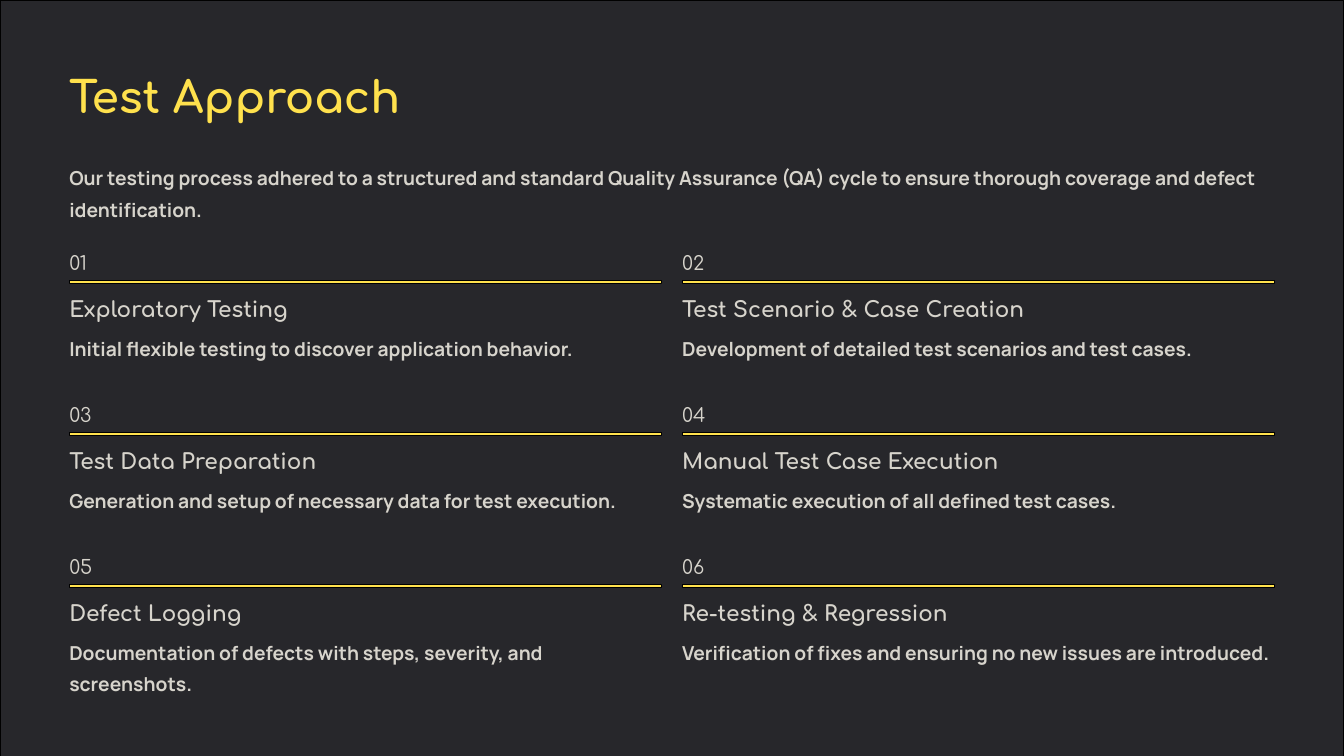
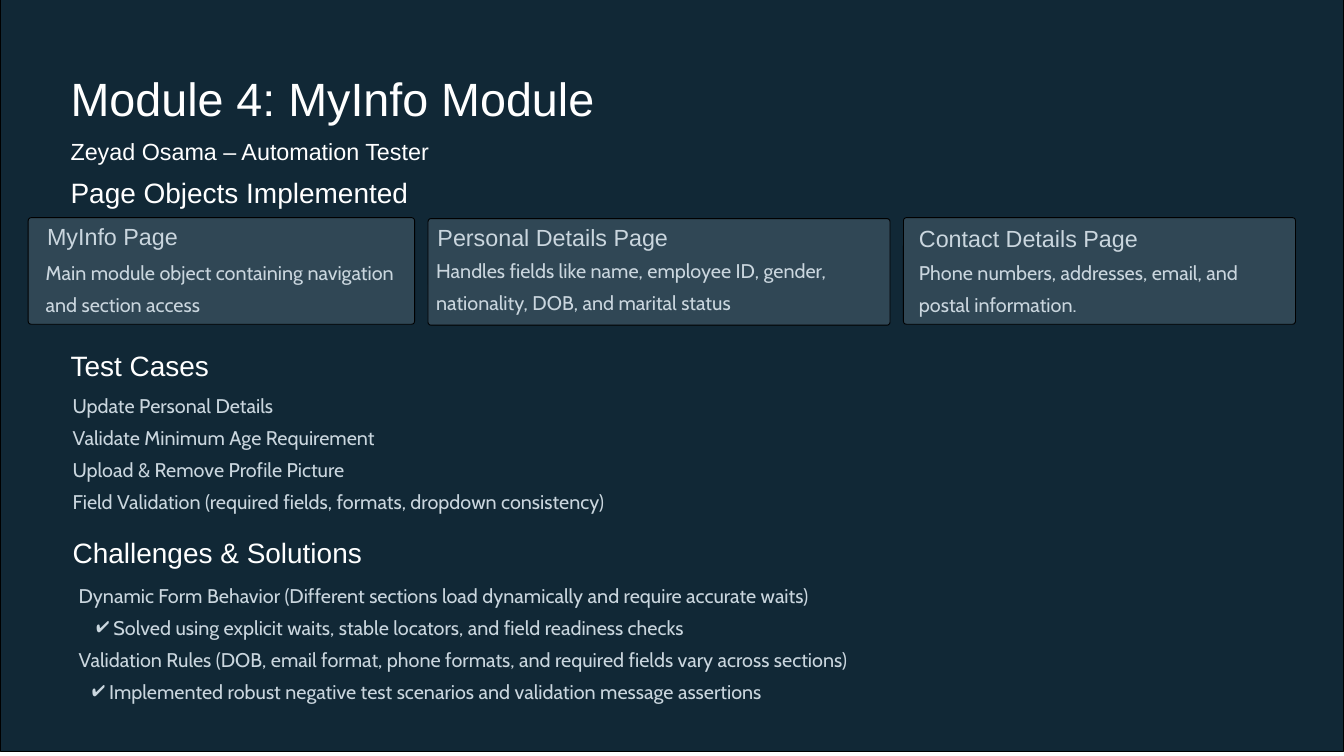
from lxml import etree
from pptx import Presentation
from pptx.dml.color import RGBColor
from pptx.enum.shapes import MSO_SHAPE
from pptx.enum.text import MSO_AUTO_SIZE
from pptx.oxml.ns import qn
from pptx.util import Pt

RECTANGLE = MSO_SHAPE.RECTANGLE
ROUNDED = MSO_SHAPE.ROUNDED_RECTANGLE
FIT_TEXT = MSO_AUTO_SIZE.SHAPE_TO_FIT_TEXT

BLACK = RGBColor(0x00, 0x00, 0x00)
WHITE = RGBColor(0xFF, 0xFF, 0xFF)
CHARCOAL = RGBColor(0x27, 0x27, 0x2B)
YELLOW = RGBColor(0xFF, 0xE1, 0x4D)
SAND = RGBColor(0xD7, 0xD4, 0xCC)
NAVY = RGBColor(0x11, 0x28, 0x36)
SLATE = RGBColor(0x30, 0x47, 0x55)
MIST = RGBColor(0xCA, 0xD6, 0xDE)

PAGE_WIDTH, PAGE_HEIGHT = 1440, 810

# Text styles: font, size, line spacing, colour, bold
APPROACH_TITLE = dict(font="Comfortaa", size=46.9, line=58.8, color=YELLOW, bold=True)
STEP_TEXT = dict(font="Manrope", size=20.6, line=33.8, color=SAND, bold=True)
STEP_NUMBER = dict(font="Comfortaa", size=20.6, line=33.8, color=SAND)
STEP_HEADING = dict(font="Comfortaa", size=23.1, line=29.4, color=SAND, bold=True)
MODULE_TITLE = dict(font="Arial", size=50, line=63.1, color=WHITE)
SUBTITLE = dict(font="Arial", size=25, line=31.2, color=WHITE)
SECTION = dict(font="Arial", size=30, line=37.5, color=WHITE)
CARD_HEADING = dict(SUBTITLE, color=MIST)
MODULE_TEXT = dict(font="Cabin", size=21.2, line=34.4, color=MIST)

STEPS = [
    ("Exploratory Testing", "Initial flexible testing to discover application behavior."),
    ("Test Scenario & Case Creation", "Development of detailed test scenarios and test cases."),
    ("Test Data Preparation", "Generation and setup of necessary data for test execution."),
    ("Manual Test Case Execution", "Systematic execution of all defined test cases."),
    ("Defect Logging", "Documentation of defects with steps, severity, and screenshots."),
    ("Re-testing & Regression", "Verification of fixes and ensuring no new issues are introduced."),
]

# Card top, width, heading inset and top, text inset and top
CARDS = [
    (233.2, 414, 20.2, 237, 18.7, 270, "MyInfo Page",
     "Main module object containing navigation and section access"),
    (234.2, 495, 10.1, 238.3, 8.7, 268.5, "Personal Details Page",
     "Handles fields like name, employee ID, gender, nationality, DOB, and marital status"),
    (233.2, 420, 16.6, 239, 16.6, 270.7, "Contact Details Page",
     "Phone numbers, addresses, email, and postal information."),
]

TEST_CASES = [
    "Update Personal Details",
    "Validate Minimum Age Requirement",
    "Upload & Remove Profile Picture",
    "Field Validation (required fields, formats, dropdown consistency)",
]

# Text and the indent of its check mark, if it has one
CHALLENGES = [
    ("Dynamic Form Behavior (Different sections load dynamically and require accurate waits)", None),
    ("Solved using explicit waits, stable locators, and field readiness checks", 19),
    ("Validation Rules (DOB, email format, phone formats, and required fields vary across sections)", None),
    ("Implemented robust negative test scenarios and validation message assertions", 14.5),
]


def add_check_mark(para, indent, hang=18.3):
    properties = para._p.get_or_add_pPr()
    properties.set("marL", str(Pt(indent + hang)))
    properties.set("indent", str(-Pt(hang)))
    etree.SubElement(properties, qn("a:buChar")).set("char", "✔")


def write(para, text, font, size, line, color, bold=False):
    para.line_spacing = Pt(line)
    span = para.add_run()
    span.text = text
    span.font.name = font
    span.font.size = Pt(size)
    span.font.bold = bold
    span.font.color.rgb = color


class Deck:
    def __init__(self):
        self.file = Presentation()
        self.file.slide_width = Pt(PAGE_WIDTH)
        self.file.slide_height = Pt(PAGE_HEIGHT)
        self.page = None

    def new_page(self, color, top=0, height=PAGE_HEIGHT):
        self.page = self.file.slides.add_slide(self.file.slide_layouts[6])
        self.panel(0, top, PAGE_WIDTH, height, color)

    def panel(self, left, top, width, height, color, radius=0):
        kind = ROUNDED if radius else RECTANGLE
        shape = self.page.shapes.add_shape(kind, Pt(left), Pt(top), Pt(width), Pt(height))
        if radius:
            shape.adjustments[0] = radius / min(width, height)
        shape.shadow.inherit = False
        shape.fill.solid()
        shape.fill.fore_color.rgb = color
        shape.line.color.rgb = BLACK
        shape.line.width = Pt(1)

    def text(self, left, top, width, height, items, style):
        """Each item is a text, or a text with its check mark indent."""
        box = self.page.shapes.add_textbox(Pt(left), Pt(top), Pt(width), Pt(height))
        frame = box.text_frame
        frame.word_wrap = True
        frame.auto_size = FIT_TEXT
        frame.margin_left = frame.margin_right = frame.margin_top = frame.margin_bottom = 0
        for index, (text, check_indent) in enumerate(items):
            para = frame.add_paragraph() if index else frame.paragraphs[0]
            if check_indent is not None:
                add_check_mark(para, check_indent)
            write(para, text, **style)

    def line(self, left, top, width, height, text, style):
        self.text(left, top, width, height, [(text, None)], style)

    def step(self, left, top, width, number, heading, detail):
        self.line(left, top, 70, 33.8, f"{number:02}", STEP_NUMBER)
        self.panel(left, top + 40.3, width, 2.9, YELLOW)
        self.line(left, top + 54.7, width, 29.4, heading, STEP_HEADING)
        self.line(left, top + 91.4, width, 41, detail, STEP_TEXT)


def build_approach(deck):
    deck.new_page(CHARCOAL)
    left, width, gap = 74.2, 635, 21.6
    deck.line(left, 72, 471, 62, "Test Approach", APPROACH_TITLE)
    deck.line(left, 169.2, 2 * width + gap, 75.6,
              "Our testing process adhered to a structured and standard Quality Assurance (QA) "
              "cycle to ensure thorough coverage and defect identification.", STEP_TEXT)

    # Steps in two columns
    for index, (heading, detail) in enumerate(STEPS):
        row, column = divmod(index, 2)
        deck.step(left + column * (width + gap), 260.7 + row * 162.7, width,
                  index + 1, heading, detail)


def build_module(deck):
    deck.new_page(NAVY, top=-2.9, height=807.9)
    left = 75.6
    deck.line(left, 72, 736, 63.4, "Module 4: MyInfo Module", MODULE_TITLE)
    deck.line(left, 146.2, 555, 31.7, "Zeyad Osama – Automation Tester", SUBTITLE)

    # Page objects
    deck.line(left, 186.5, 505, 38, "Page Objects Implemented", SECTION)
    card_left = 30.2
    for top, width, heading_inset, heading_top, text_inset, text_top, heading, detail in CARDS:
        deck.panel(card_left, top, width, 114.2, SLATE, radius=3.2)
        deck.line(card_left + heading_inset, heading_top, 300, 31.7, heading, CARD_HEADING)
        deck.line(card_left + text_inset, text_top, width - text_inset - 9, 69,
                  detail, MODULE_TEXT)
        card_left += width + 14.4

    # Test cases
    deck.line(left, 372.2, 464, 38, "Test Cases", SECTION)
    deck.text(77.8, 412.6, 713, 139, [(case, None) for case in TEST_CASES], MODULE_TEXT)

    # Challenges
    deck.line(77.8, 572.4, 412, 40, "Challenges & Solutions", SECTION)
    deck.text(84.2, 616.3, 1290, 152.6, CHALLENGES, MODULE_TEXT)


def main():
    deck = Deck()
    build_approach(deck)
    build_module(deck)
    deck.file.save("out.pptx")


if __name__ == "__main__":
    main()
